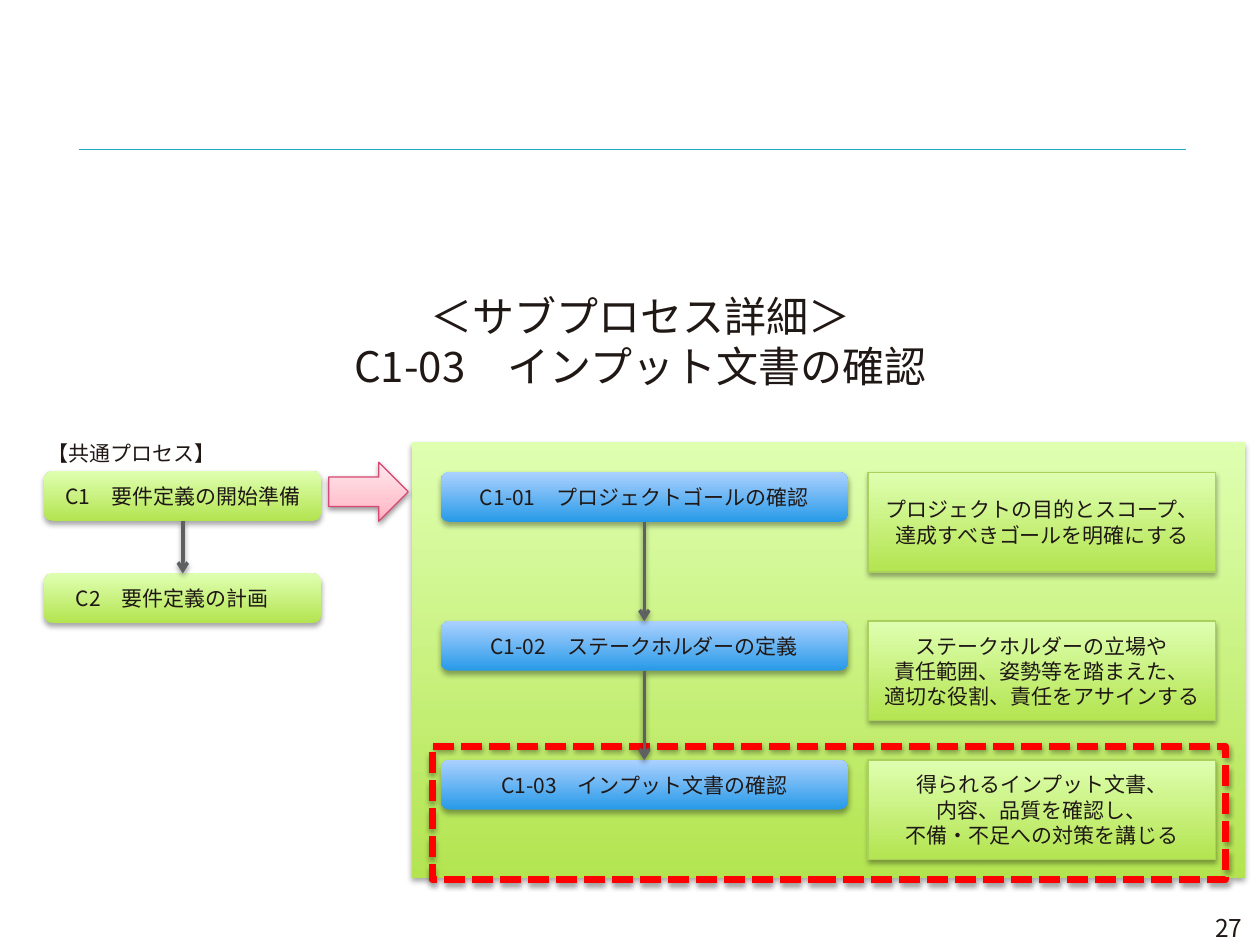
from dataclasses import dataclass

from lxml import etree
from pptx import Presentation
from pptx.dml.color import RGBColor
from pptx.enum.dml import MSO_LINE
from pptx.enum.shapes import MSO_CONNECTOR, MSO_SHAPE
from pptx.enum.text import MSO_ANCHOR, PP_ALIGN
from pptx.oxml.ns import qn
from pptx.util import Cm, Pt

RECT = MSO_SHAPE.RECTANGLE
ROUNDED = MSO_SHAPE.ROUNDED_RECTANGLE
RIGHT_ARROW = MSO_SHAPE.RIGHT_ARROW
STRAIGHT = MSO_CONNECTOR.STRAIGHT
DASHED = MSO_LINE.SQUARE_DOT
LEFT, CENTER, RIGHT = PP_ALIGN.LEFT, PP_ALIGN.CENTER, PP_ALIGN.RIGHT
TOP, MIDDLE = MSO_ANCHOR.TOP, MSO_ANCHOR.MIDDLE
BOTTOM_SIDE, TOP_SIDE = 2, 0


@dataclass(frozen=True)
class Theme:
    """Colours, gradients and type sizes of the slide."""

    font: str = "Noto Sans CJK JP"
    title_size: int = 24
    number_size: int = 14
    body_size: int = 12
    line_pitch: float = 1.2
    ink: str = "201815"
    rule: str = "1BADBD"
    flow: str = "5F6062"
    highlight: str = "FF0000"
    note_edge: str = "AAD15C"
    arrow_edge: str = "D64773"
    green: tuple = ((0, "B3E450"), (100, "DFFFB1"))
    blue: tuple = ((0, "289AE8"), (100, "ABD1FF"))
    pink: tuple = ((0, "FFAFBF"), (35, "FFC6D1"), (100, "FFE9ED"))


THEME = Theme()

PROCESSES = [(9.5, "C1　要件定義の開始準備"), (11.56, "C2　要件定義の計画　")]
STEPS = [
    (9.52, "C1-01　プロジェクトゴールの確認",
     ["プロジェクトの目的とスコープ、", "達成すべきゴールを明確にする"]),
    (12.52, "C1-02　ステークホルダーの定義",
     ["ステークホルダーの立場や", "責任範囲、姿勢等を踏まえた、", "適切な役割、責任をアサインする"]),
    (15.32, "C1-03　インプット文書の確認",
     ["得られるインプット文書、", "内容、品質を確認し、", "不備・不足への対策を講じる"]),
]


def write_lines(frame, lines, size=THEME.body_size, align=CENTER, anchor=MIDDLE):
    """Write one paragraph per line in the theme's type."""
    frame.word_wrap = True
    frame.vertical_anchor = anchor
    for index, line in enumerate(lines):
        paragraph = frame.add_paragraph() if index else frame.paragraphs[0]
        paragraph.alignment = align
        paragraph.line_spacing = Pt(size * THEME.line_pitch)
        run = paragraph.add_run()
        run.text = line
        run.font.size = Pt(size)
        run.font.name = THEME.font
        run.font.color.rgb = RGBColor.from_string(THEME.ink)
        etree.SubElement(run.font._element, qn("a:ea"), typeface=THEME.font)


def add_shadow(effects, opacity, distance):
    """Put a soft downward shadow into an effect list."""
    shadow = etree.SubElement(
        effects, qn("a:outerShdw"), blurRad=str(Pt(3.1)), dist=str(Pt(distance)),
        dir="5400000", rotWithShape="0")
    black = etree.SubElement(shadow, qn("a:srgbClr"), val="000000")
    etree.SubElement(black, qn("a:alpha"), val=str(opacity * 1000))


def fill_gradient(shape, stops):
    """Fill a shape with colour stops rising from its bottom edge."""
    shape.fill.gradient()
    shape.fill.gradient_angle = 90
    stop_list = shape._element.spPr.find(qn("a:gradFill")).find(qn("a:gsLst"))
    for default_stop in list(stop_list):
        stop_list.remove(default_stop)
    for position, color in stops:
        stop = etree.SubElement(stop_list, qn("a:gs"), pos=str(position * 1000))
        etree.SubElement(stop, qn("a:srgbClr"), val=color)


def add_block(slide, kind, box, stops=None, edge=None, width=0.75, lines=(),
              opacity=35, distance=1.8):
    """Add a shadowed preset shape with optional gradient, edge and text."""
    block = slide.shapes.add_shape(kind, *map(Cm, box))
    if stops:
        fill_gradient(block, stops)
    else:
        block.fill.background()
    if edge:
        block.line.color.rgb = RGBColor.from_string(edge)
        block.line.width = Pt(width)
    else:
        block.line.fill.background()
    block.shadow.inherit = False
    add_shadow(block._element.spPr.find(qn("a:effectLst")), opacity, distance)
    write_lines(block.text_frame, lines)
    return block


def add_line(slide, points, color, width):
    """Add a straight line and return it with its empty effect list."""
    line = slide.shapes.add_connector(STRAIGHT, *map(Cm, points))
    line.line.color.rgb = RGBColor.from_string(color)
    line.line.width = Pt(width)
    return line, etree.SubElement(line._element.spPr, qn("a:effectLst"))


def add_flow(slide, upper, lower):
    """Join two boxes with a downward arrow."""
    flow, effects = add_line(slide, (0, 0, 0, 0), THEME.flow, 2)
    flow.begin_connect(upper, BOTTOM_SIDE)
    flow.end_connect(lower, TOP_SIDE)
    etree.SubElement(flow.line._get_or_add_ln(), qn("a:tailEnd"), type="arrow")
    add_shadow(effects, 38, 1.6)


def add_label(slide, box, text, size, align):
    """Add a single-line text box."""
    label = slide.shapes.add_textbox(*map(Cm, box))
    write_lines(label.text_frame, [text], size, align, TOP)


def set_title(slide, box, lines):
    """Move the title placeholder and write its lines."""
    title = slide.shapes.title
    title.left, title.top, title.width, title.height = map(Cm, box)
    write_lines(title.text_frame, lines, THEME.title_size, CENTER, TOP)


def add_chain(slide, left, width, rows, stops):
    """Add a column of rounded boxes linked from top to bottom."""
    boxes = [add_block(slide, ROUNDED, (left, top, width, 1), stops, lines=[text])
             for top, text in rows]
    for upper, lower in zip(boxes, boxes[1:]):
        add_flow(slide, upper, lower)


def main():
    """Build the sub-process slide."""
    deck = Presentation()
    deck.slide_width, deck.slide_height = Cm(25.4), Cm(19.05)
    slide = deck.slides.add_slide(deck.slide_layouts[5])
    add_line(slide, (1.6, 3, 23.9, 3), THEME.rule, 0.25)
    add_block(slide, RECT, (8.31, 8.92, 16.79, 8.79), THEME.green)
    set_title(slide, (1.5, 5.72, 22.81, 2.31),
              ["＜サブプロセス詳細＞", "C1-03　インプット文書の確認"])
    highlight = add_block(slide, RECT, (8.71, 15.04, 16, 2.69),
                          edge=THEME.highlight, width=4)
    highlight.line.dash_style = DASHED
    add_chain(slide, 0.89, 5.59, PROCESSES, THEME.green)
    add_chain(slide, 8.89, 8.2, [(top, name) for top, name, _ in STEPS], THEME.blue)
    for top, _, purpose in STEPS:
        add_block(slide, RECT, (17.5, top, 7.01, 2.01), THEME.green,
                  THEME.note_edge, lines=purpose)
    add_block(slide, RIGHT_ARROW, (6.63, 9.32, 1.6, 1.19), THEME.pink,
              THEME.arrow_edge, opacity=38, distance=1.6)
    add_label(slide, (0.71, 8.76, 5.21, 0.76), "【共通プロセス】", THEME.body_size, LEFT)
    add_label(slide, (21.77, 18.29, 3.53, 0.79), "27", THEME.number_size, RIGHT)
    deck.save("out.pptx")


if __name__ == "__main__":
    main()
